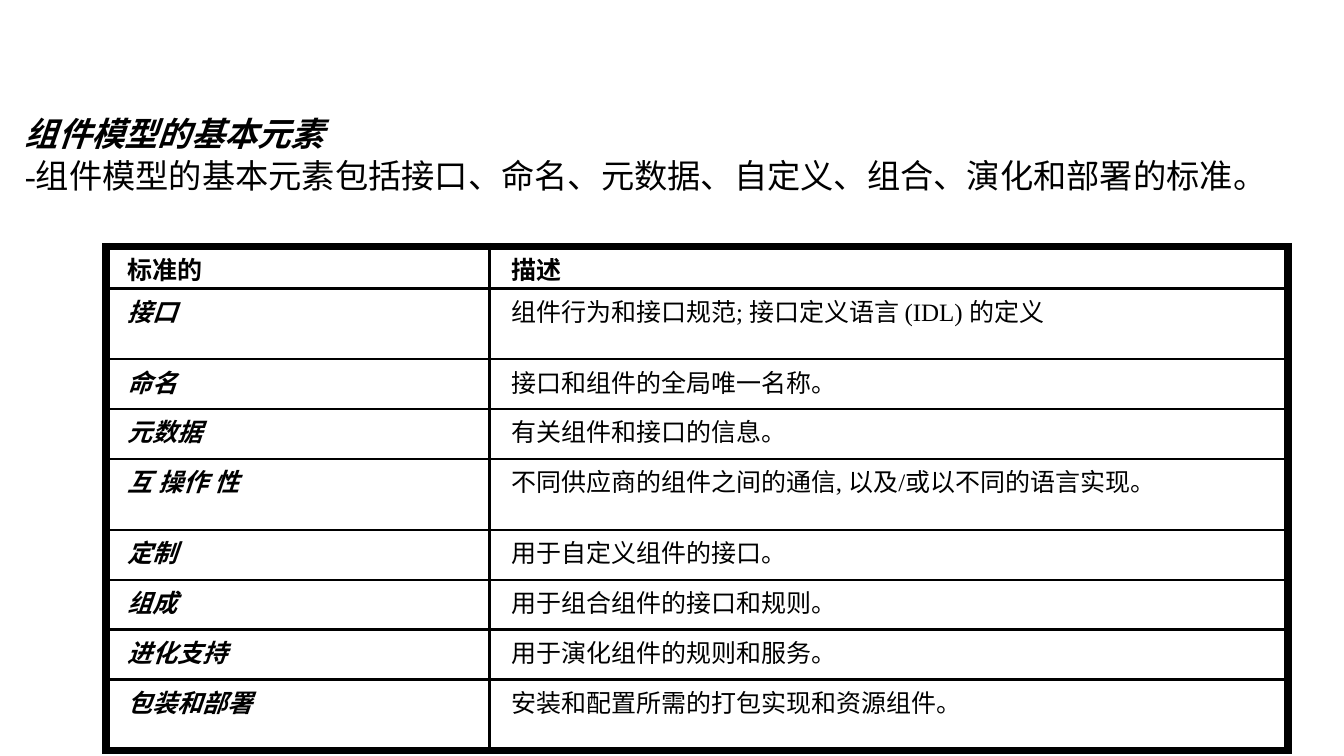
from dataclasses import dataclass

from lxml import etree
from pptx import Presentation
from pptx.dml.color import RGBColor
from pptx.enum.text import MSO_ANCHOR, MSO_AUTO_SIZE, PP_ALIGN
from pptx.oxml.ns import qn
from pptx.util import Emu, Inches, Pt

TOP = MSO_ANCHOR.TOP
NO_AUTOFIT = MSO_AUTO_SIZE.NONE
LEFT = PP_ALIGN.LEFT

BLACK = RGBColor(0x00, 0x00, 0x00)
FONT = "Times New Roman"
SLIDE_WIDTH, SLIDE_HEIGHT = Pt(484.5), Pt(272.5)
OUTER_LINE, INNER_LINE = Pt(3), Pt(1)


@dataclass(frozen=True)
class Box:
    """A place on the slide, in percent of its width and height."""
    left: float
    top: float
    width: float
    height: float


@dataclass(frozen=True)
class Standard:
    """One table row: its height in percent of the slide, and its texts."""
    height: float
    name: str
    description: str


HEADER, SINGLE, DOUBLE = 5.55, 6.6, 9.38
COLUMNS = (28.53, 59.44)
TABLE_LEFT, TABLE_TOP = 7.88, 32.6
TITLE_BOX = Box(1.85, 14.93, 92.87, 5.3)
BODY_BOX = Box(1.85, 20.48, 92.87, 5.3)

STANDARDS = (
    Standard(HEADER, "标准的", "描述"),
    Standard(DOUBLE, "接口", "组件行为和接口规范; 接口定义语言 (IDL) 的定义"),
    Standard(SINGLE, "命名", "接口和组件的全局唯一名称。"),
    Standard(SINGLE, "元数据", "有关组件和接口的信息。"),
    Standard(DOUBLE, "互 操作 性", "不同供应商的组件之间的通信, 以及/或以不同的语言实现。"),
    Standard(SINGLE, "定制", "用于自定义组件的接口。"),
    Standard(SINGLE, "组成", "用于组合组件的接口和规则。"),
    Standard(SINGLE, "进化支持", "用于演化组件的规则和服务。"),
    Standard(DOUBLE, "包装和部署", "安装和配置所需的打包实现和资源组件。"),
)


def across(percent: float) -> Emu:
    return Emu(round(SLIDE_WIDTH * percent / 100))


def down(percent: float) -> Emu:
    return Emu(round(SLIDE_HEIGHT * percent / 100))


def style_paragraph(paragraph, size: float, bold: bool, italic: bool) -> None:
    paragraph.alignment = LEFT
    paragraph.space_before = Pt(0)
    font = paragraph.font
    font.name, font.size = FONT, Pt(size)
    font.bold, font.italic = bold, italic
    font.color.rgb = BLACK


def fill_placeholder(shape, box: Box, text: str, emphasized: bool) -> None:
    shape.left, shape.top = across(box.left), down(box.top)
    shape.width, shape.height = across(box.width), down(box.height)
    frame = shape.text_frame
    frame.margin_left = frame.margin_right = 0
    frame.margin_top = frame.margin_bottom = 0
    frame.word_wrap = True
    frame.auto_size = NO_AUTOFIT
    frame.vertical_anchor = TOP
    frame.text = text
    paragraph = frame.paragraphs[0]
    properties = paragraph._p.get_or_add_pPr()
    properties.set("marL", "0")
    properties.set("indent", "0")
    etree.SubElement(properties, qn("a:buNone"))
    style_paragraph(paragraph, 12, emphasized, emphasized)
    paragraph.line_spacing = Pt(14.5)


def set_borders(cell, widths: dict[str, int]) -> None:
    """Draw the cell's sides; lines must precede the fill in the XML."""
    properties = cell._tc.get_or_add_tcPr()
    for position, (side, width) in enumerate(widths.items()):
        line = etree.Element(qn(f"a:ln{side}"), w=str(width))
        fill = etree.SubElement(line, qn("a:solidFill"))
        etree.SubElement(fill, qn("a:srgbClr"), val=str(BLACK))
        properties.insert(position, line)


def line_width(is_outer: bool) -> int:
    return OUTER_LINE if is_outer else INNER_LINE


def add_standards_table(slide) -> None:
    row_count, column_count = len(STANDARDS), len(COLUMNS)
    table = slide.shapes.add_table(
        row_count, column_count, across(TABLE_LEFT), down(TABLE_TOP),
        across(sum(COLUMNS)), down(sum(row.height for row in STANDARDS)),
    ).table
    table.first_row = table.horz_banding = False
    for column, width in zip(table.columns, COLUMNS):
        column.width = across(width)

    for row_index, standard in enumerate(STANDARDS):
        table.rows[row_index].height = down(standard.height)
        is_header = row_index == 0
        for column_index, text in enumerate((standard.name, standard.description)):
            is_name = column_index == 0
            cell = table.cell(row_index, column_index)
            cell.margin_left, cell.margin_top = Inches(0.11), Inches(0.02)
            cell.margin_right = cell.margin_bottom = 0
            cell.vertical_anchor = TOP
            cell.text = text
            style_paragraph(cell.text_frame.paragraphs[0], 9,
                            bold=is_header or is_name,
                            italic=is_name and not is_header)
            cell.fill.background()
            set_borders(cell, {
                "L": line_width(is_name),
                "R": line_width(column_index == column_count - 1),
                "T": line_width(is_header),
                "B": line_width(row_index == row_count - 1),
            })


def main() -> None:
    presentation = Presentation()
    presentation.slide_width = SLIDE_WIDTH
    presentation.slide_height = SLIDE_HEIGHT
    slide = presentation.slides.add_slide(presentation.slide_layouts[1])

    # Heading and introduction
    fill_placeholder(slide.shapes.title, TITLE_BOX, "组件模型的基本元素", True)
    fill_placeholder(
        slide.placeholders[1], BODY_BOX,
        "-组件模型的基本元素包括接口、命名、元数据、自定义、组合、演化和部署的标准。", False)

    # Table of standards
    add_standards_table(slide)
    presentation.save("out.pptx")


if __name__ == "__main__":
    main()
